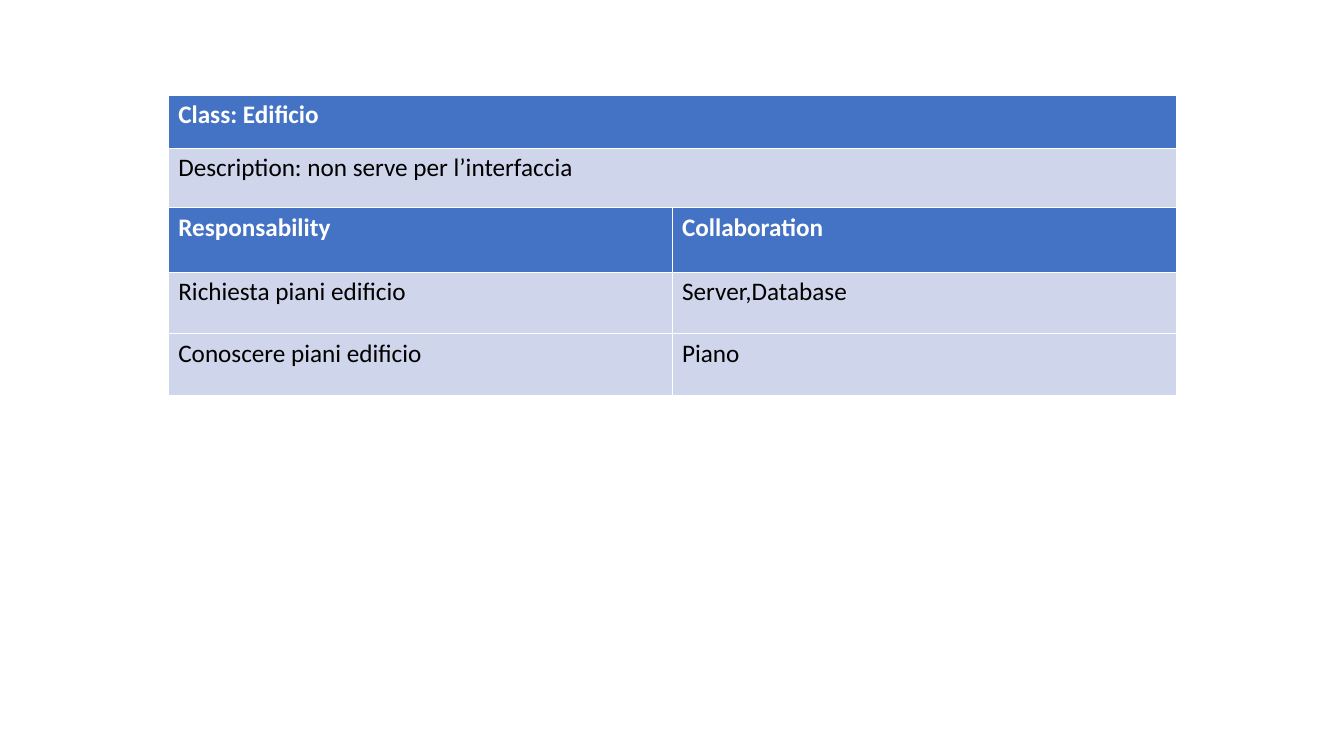
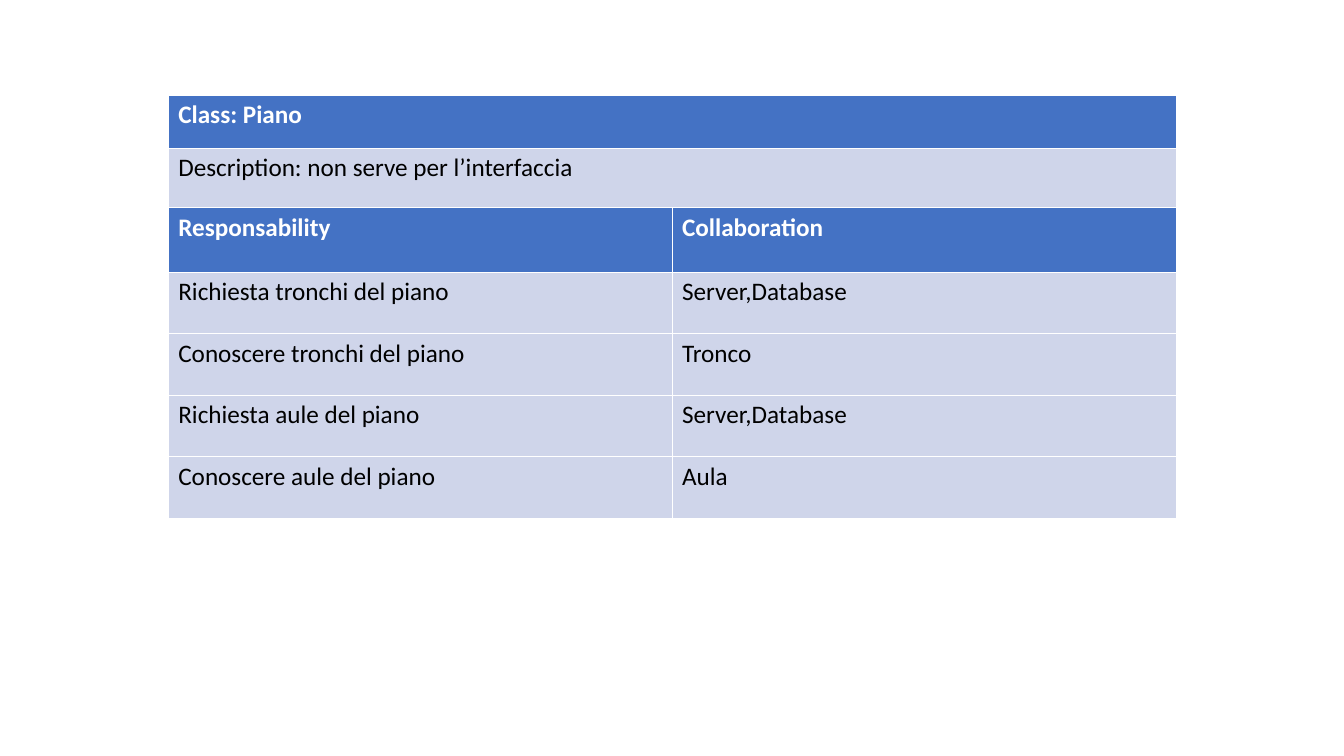
from dataclasses import dataclass

from lxml import etree
from pptx import Presentation
from pptx.dml.color import RGBColor
from pptx.oxml.ns import qn
from pptx.slide import Slide
from pptx.table import _Cell
from pptx.util import Pt

BLANK = 6


@dataclass(frozen=True)
class Theme:
    font: str = "Calibri"
    size: float = 18
    spacing: float = 0.96
    head: str = "4472C4"
    body: str = "CFD5EA"
    light: str = "FFFFFF"
    dark: str = "000000"
    thin: float = 0.11
    thick: float = 0.34


@dataclass(frozen=True)
class Frame:
    page_w: float = 960.5
    page_h: float = 540
    top: float = 67.7
    width: float = 720
    name_h: float = 38.2
    about_h: float = 42.3
    head_h: float = 46
    row_h: float = 44

    @property
    def left(self) -> float:
        return (self.page_w - self.width) / 2


@dataclass(frozen=True)
class Card:
    name: str
    about: str
    duties: list[tuple[str, str]]


THEME = Theme()
FRAME = Frame()
ABOUT = "Description: non serve per l’interfaccia"
CARDS = [
    Card("Edificio", ABOUT, [
        ("Richiesta piani edificio", "Server,Database"),
        ("Conoscere piani edificio", "Piano"),
    ]),
    Card("Piano", ABOUT, [
        ("Richiesta tronchi del piano", "Server,Database"),
        ("Conoscere tronchi del piano", "Tronco"),
        ("Richiesta aule del piano", "Server,Database"),
        ("Conoscere aule del piano", "Aula"),
    ]),
]


def add_edges(cell: _Cell, first: bool, last: bool) -> None:
    """Draw thin outer and column borders, and thicker ones between rows."""
    props = cell._tc.get_or_add_tcPr()
    widths = {
        "L": THEME.thin,
        "R": THEME.thin,
        "T": THEME.thin if first else THEME.thick,
        "B": THEME.thin if last else THEME.thick,
    }
    for spot, (side, width) in enumerate(widths.items()):
        line = etree.Element(qn(f"a:ln{side}"), w=str(int(Pt(width))))
        fill = etree.SubElement(line, qn("a:solidFill"))
        etree.SubElement(fill, qn("a:srgbClr"), val=THEME.light)
        props.insert(spot, line)


def fill_cell(cell: _Cell, text: str, is_head: bool) -> None:
    cell.fill.solid()
    cell.fill.fore_color.rgb = RGBColor.from_string(
        THEME.head if is_head else THEME.body)
    cell.text = text
    para = cell.text_frame.paragraphs[0]
    para.line_spacing = THEME.spacing
    font = para.font
    font.name = THEME.font
    font.size = Pt(THEME.size)
    font.bold = is_head
    font.color.rgb = RGBColor.from_string(
        THEME.light if is_head else THEME.dark)


def add_grid(slide: Slide, top: float, rows: list[tuple[str, ...]],
             heights: list[float]) -> None:
    """Add a table whose first row is the heading."""
    cols = len(rows[0])
    table = slide.shapes.add_table(
        len(rows), cols, Pt(FRAME.left), Pt(top),
        Pt(FRAME.width), Pt(sum(heights))).table
    table.first_row = True
    table.horz_banding = False
    for col in table.columns:
        col.width = Pt(FRAME.width / cols)
    for r, (texts, height) in enumerate(zip(rows, heights)):
        table.rows[r].height = Pt(height)
        for c, text in enumerate(texts):
            cell = table.cell(r, c)
            fill_cell(cell, text, r == 0)
            add_edges(cell, r == 0, r == len(rows) - 1)


def add_card(slide: Slide, card: Card) -> None:
    intro = [FRAME.name_h, FRAME.about_h]
    add_grid(slide, FRAME.top + sum(intro),
             [("Responsability", "Collaboration"), *card.duties],
             [FRAME.head_h] + [FRAME.row_h] * len(card.duties))
    add_grid(slide, FRAME.top,
             [(f"Class: {card.name}",), (card.about,)], intro)


def main() -> None:
    deck = Presentation()
    deck.slide_width = Pt(FRAME.page_w)
    deck.slide_height = Pt(FRAME.page_h)
    for card in CARDS:
        add_card(deck.slides.add_slide(deck.slide_layouts[BLANK]), card)
    deck.save("out.pptx")


if __name__ == "__main__":
    main()
